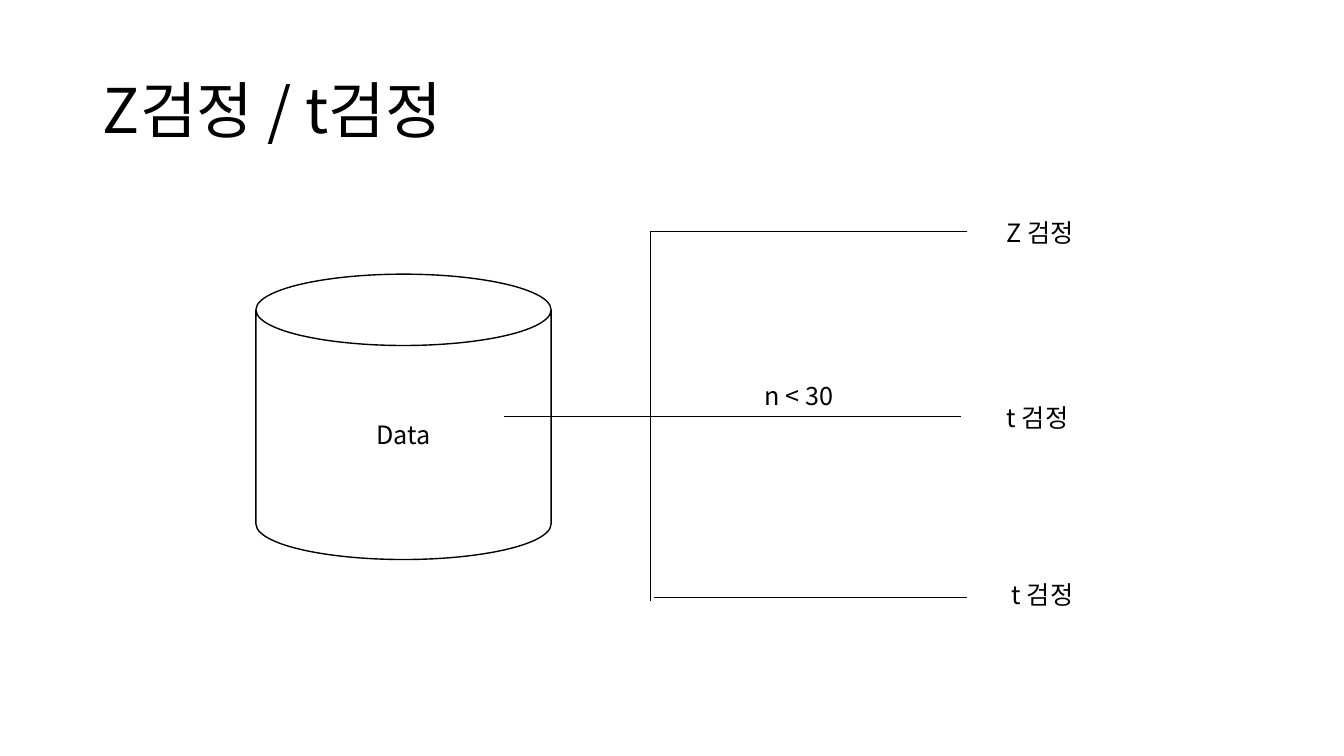
from lxml import etree
from pptx import Presentation
from pptx.dml.color import RGBColor
from pptx.enum.shapes import MSO_CONNECTOR, MSO_SHAPE
from pptx.enum.text import MSO_ANCHOR, MSO_AUTO_SIZE, PP_ALIGN
from pptx.oxml.ns import qn
from pptx.util import Cm, Pt

BLACK = RGBColor(0x00, 0x00, 0x00)
WHITE = RGBColor(0xFF, 0xFF, 0xFF)
STRAIGHT = MSO_CONNECTOR.STRAIGHT
CAN = MSO_SHAPE.CAN
MIDDLE = MSO_ANCHOR.MIDDLE
GROW = MSO_AUTO_SIZE.SHAPE_TO_FIT_TEXT
LEFT = PP_ALIGN.LEFT
CENTER = PP_ALIGN.CENTER

TRUNK_X = 16.38
TOP_Y, MIDDLE_Y, BOTTOM_Y = 5.84, 10.49, 15.14
BRANCH_END = 24.38
LOWER_BRANCH_Y = 15.06


class TestDiagram:
    """Draws the elements of a decision diagram on one slide."""

    font_name = "Noto Sans CJK KR"
    text_size = 18
    title_size = 44

    def __init__(self, presentation):
        self.slide = presentation.slides.add_slide(presentation.slide_layouts[5])

    def set_text(self, shape, text, size, alignment):
        shape.text_frame.text = text
        paragraph = shape.text_frame.paragraphs[0]
        paragraph.alignment = alignment
        paragraph.font.size = Pt(size)
        paragraph.font.color.rgb = BLACK
        paragraph.font.name = self.font_name
        defaults = paragraph._p.pPr.find(qn("a:defRPr"))
        etree.SubElement(defaults, qn("a:ea"), typeface=self.font_name)
        return paragraph

    def title(self, text, left, top, width, height):
        shape = self.slide.shapes.title
        shape.left, shape.top = Cm(left), Cm(top)
        shape.width, shape.height = Cm(width), Cm(height)
        shape.text_frame.vertical_anchor = MIDDLE
        self.set_text(shape, text, self.title_size, LEFT).line_spacing = 0.9

    def cylinder(self, text, left, top, width, height):
        shape = self.slide.shapes.add_shape(
            CAN, Cm(left), Cm(top), Cm(width), Cm(height))
        shape.shadow.inherit = False
        shape.fill.solid()
        shape.fill.fore_color.rgb = WHITE
        shape.line.color.rgb = BLACK
        shape.line.width = Pt(1)
        shape.text_frame.vertical_anchor = MIDDLE
        self.set_text(shape, text, self.text_size, CENTER)

    def line(self, start_x, start_y, end_x, end_y):
        connector = self.slide.shapes.add_connector(
            STRAIGHT, Cm(start_x), Cm(start_y), Cm(end_x), Cm(end_y))
        connector.line.color.rgb = BLACK
        connector.line.width = Pt(0.5)
        etree.SubElement(connector._element.spPr, qn("a:effectLst"))

    def label(self, text, left, top, width):
        shape = self.slide.shapes.add_textbox(
            Cm(left), Cm(top), Cm(width), Cm(1.02))
        shape.text_frame.word_wrap = False
        shape.text_frame.auto_size = GROW
        self.set_text(shape, text, self.text_size, LEFT)


def main():
    presentation = Presentation()
    presentation.slide_width, presentation.slide_height = Cm(33.87), Cm(19.05)
    diagram = TestDiagram(presentation)
    diagram.title("Z검정 / t검정", 2.34, 1.02, 29.21, 3.68)
    diagram.cylinder("Data", 6.45, 6.91, 7.44, 7.19)

    for ends in (
        (12.7, MIDDLE_Y, TRUNK_X, MIDDLE_Y),
        (TRUNK_X, MIDDLE_Y, TRUNK_X, TOP_Y),
        (TRUNK_X, BOTTOM_Y, TRUNK_X, MIDDLE_Y),
        (TRUNK_X, TOP_Y, BRANCH_END, TOP_Y),
        (16.48, LOWER_BRANCH_Y, BRANCH_END, LOWER_BRANCH_Y),
        (16.31, MIDDLE_Y, 24.21, MIDDLE_Y),
    ):
        diagram.line(*ends)

    for text, left, top, width in (
        ("Z 검정", 25.12, 5.36, 2.39),
        ("t 검정", 25.25, 14.48, 2.24),
        ("n < 30", 19.02, 9.45, 2.49),
        ("t 검정", 25.12, 10.01, 2.24),
    ):
        diagram.label(text, left, top, width)

    presentation.save("out.pptx")


if __name__ == "__main__":
    main()
